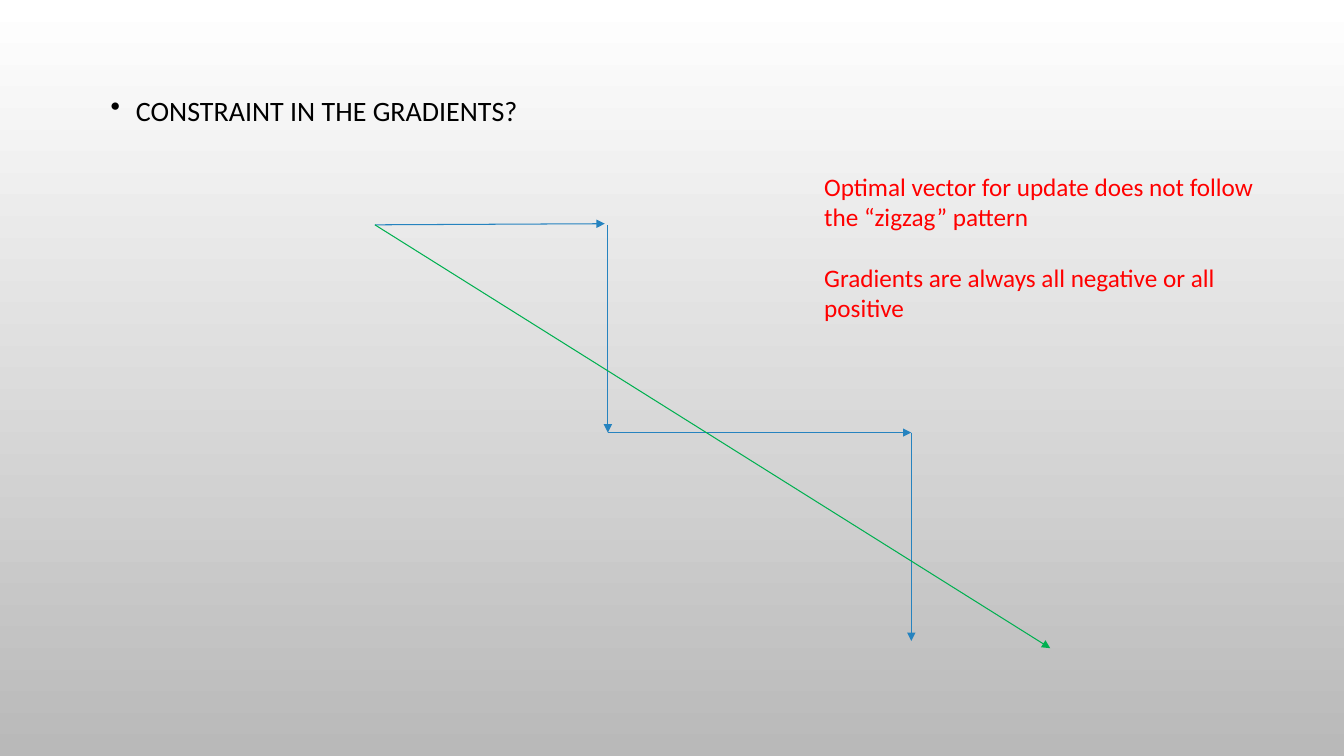
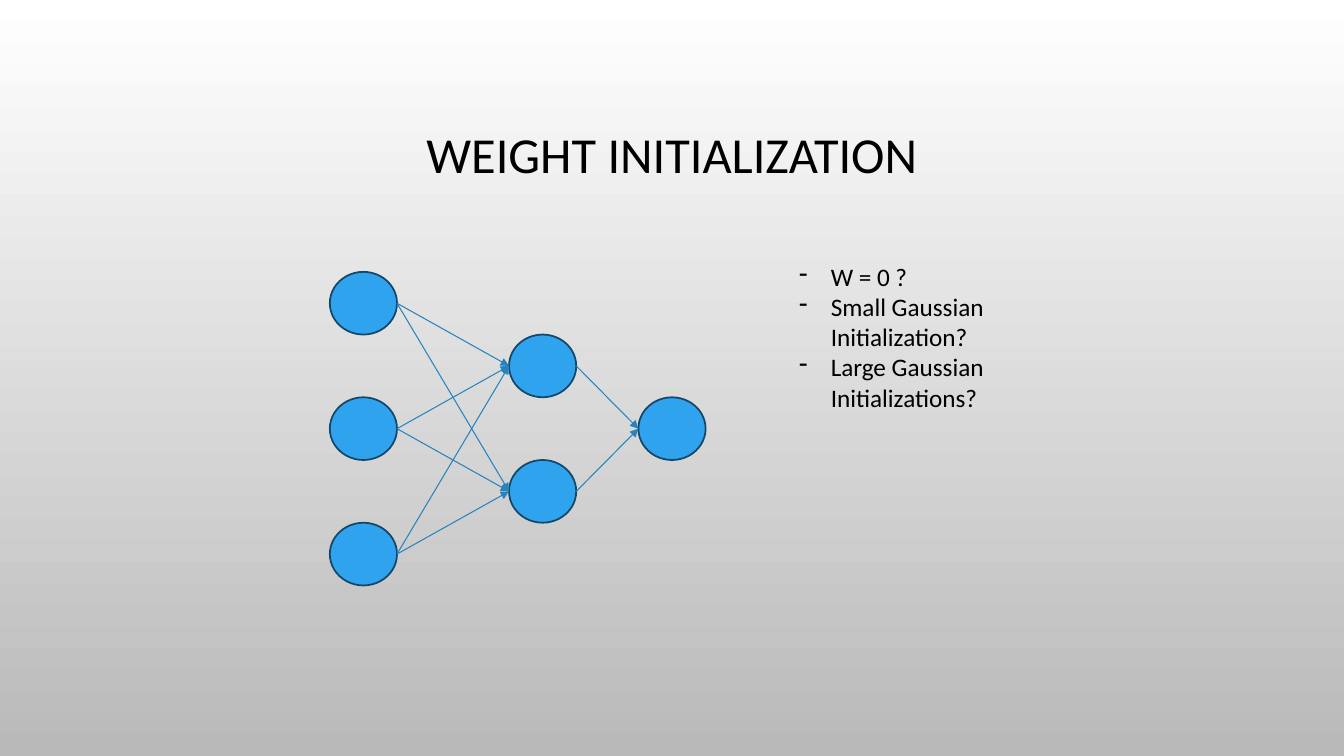
import lxml.etree
import pptx
import pptx.dml.color
import pptx.enum.shapes
import pptx.enum.text
import pptx.oxml.ns
import pptx.util

Pt = pptx.util.Pt
qn = pptx.oxml.ns.qn
RGB = pptx.dml.color.RGBColor.from_string

COLORS = {
    "sky": "FFFFFF",
    "ground": "B9B9B9",
    "text": "000000",
    "remark": "FF0000",
    "step": "2683BF",
    "optimum": "00B050",
    "node": "2FA3EE",
    "node_edge": "154768",
}
FONT = "Calibri"


def add_text(slide, box, lines, size, color="text", bullet=None, indent=0):
    """Add a wrapped text box with one paragraph per line; return its frame."""
    frame = slide.shapes.add_textbox(*map(Pt, box)).text_frame
    frame.word_wrap = True
    frame.text = "\n".join(lines)
    for paragraph in frame.paragraphs:
        paragraph.font.name = FONT
        paragraph.font.size = Pt(size)
        paragraph.font.color.rgb = RGB(COLORS[color])
        if bullet:
            properties = paragraph._p.get_or_add_pPr()
            properties.set("marL", str(Pt(indent)))
            properties.set("indent", str(-Pt(indent)))
            lxml.etree.SubElement(properties, qn("a:buChar"), char=bullet)
    return frame


def add_arrow(slide, start, end, color="step"):
    arrow = slide.shapes.add_connector(
        pptx.enum.shapes.MSO_CONNECTOR.STRAIGHT, *map(Pt, (*start, *end)))
    arrow.line.color.rgb = RGB(COLORS[color])
    arrow.line.width = Pt(0.75)
    lxml.etree.SubElement(arrow.line._get_or_add_ln(), qn("a:tailEnd"), type="triangle")
    lxml.etree.SubElement(arrow._element.spPr, qn("a:effectLst"))


deck = pptx.Presentation()
deck.slide_width, deck.slide_height = Pt(960), Pt(540)
gradients, weights = [deck.slides.add_slide(deck.slide_layouts[6]) for _ in range(2)]
for slide in deck.slides:
    backdrop = slide.background.fill
    backdrop.gradient()
    backdrop.gradient_angle = 270
    for stop, shade in zip(backdrop.gradient_stops, ("sky", "ground")):
        stop.color.rgb = RGB(COLORS[shade])

# Slide 1: zigzag path against the optimal vector
question = add_text(gradients, (72, 58.3, 816, 397.4), ["CONSTRAINT IN THE GRADIENTS?"],
                    20, bullet="•", indent=18).paragraphs[0]
question.line_spacing = 1.2
question.space_before = Pt(10)

left, middle, right = 267.8, 434.2, 651
top, center, bottom = 160.6, 309, 457.9
zigzag = [
    ((left, top), (432, 159.8)),
    ((middle, top), (middle, center)),
    ((middle, center), (right, center)),
    ((right, center), (right, bottom)),
]
for start, end in zigzag:
    add_arrow(gradients, start, end)
add_arrow(gradients, (left, top), (750.2, 463), "optimum")

remarks = add_text(gradients, (581.6, 118.8, 337, 116.6), [
    "Optimal vector for update does not follow the “zigzag” pattern",
    "Gradients are always all negative or all positive",
], 18, "remark")
remarks.paragraphs[1].space_before = Pt(22)

# Slide 2: small network, layers centred on one axis
heading = add_text(weights, (72, 49, 816, 126), ["WEIGHT INITIALIZATION"], 36)
heading.vertical_anchor = pptx.enum.text.MSO_ANCHOR.MIDDLE
heading.paragraphs[0].alignment = pptx.enum.text.PP_ALIGN.CENTER
heading.paragraphs[0].line_spacing = 0.9

NODE_WIDTH, NODE_HEIGHT = 48, 44.8
AXIS, NODE_STEP = 306.2, 2 * NODE_HEIGHT
layers = []
for layer_left, count in ((235.6, 3), (363.6, 2), (456, 1)):
    node_centers = [AXIS + (i - (count - 1) / 2) * NODE_STEP for i in range(count)]
    layers.append((layer_left, node_centers))
    for y in node_centers:
        node = weights.shapes.add_shape(
            pptx.enum.shapes.MSO_SHAPE.OVAL, Pt(layer_left), Pt(y - NODE_HEIGHT / 2),
            Pt(NODE_WIDTH), Pt(NODE_HEIGHT))
        node.shadow.inherit = False
        node.fill.solid()
        node.fill.fore_color.rgb = RGB(COLORS["node"])
        node.line.color.rgb = RGB(COLORS["node_edge"])
        node.line.width = Pt(1.25)

for (source_left, sources), (target_left, targets) in zip(layers, layers[1:]):
    for target_y in targets:
        for source_y in sources:
            add_arrow(weights, (source_left + NODE_WIDTH, source_y), (target_left, target_y))

add_text(weights, (563.8, 182.9, 190.8, 138.2), [
    "W = 0 ?",
    "Small Gaussian Initialization?",
    "Large Gaussian Initializations?",
], 18, bullet="-", indent=22.5)

deck.save("out.pptx")
